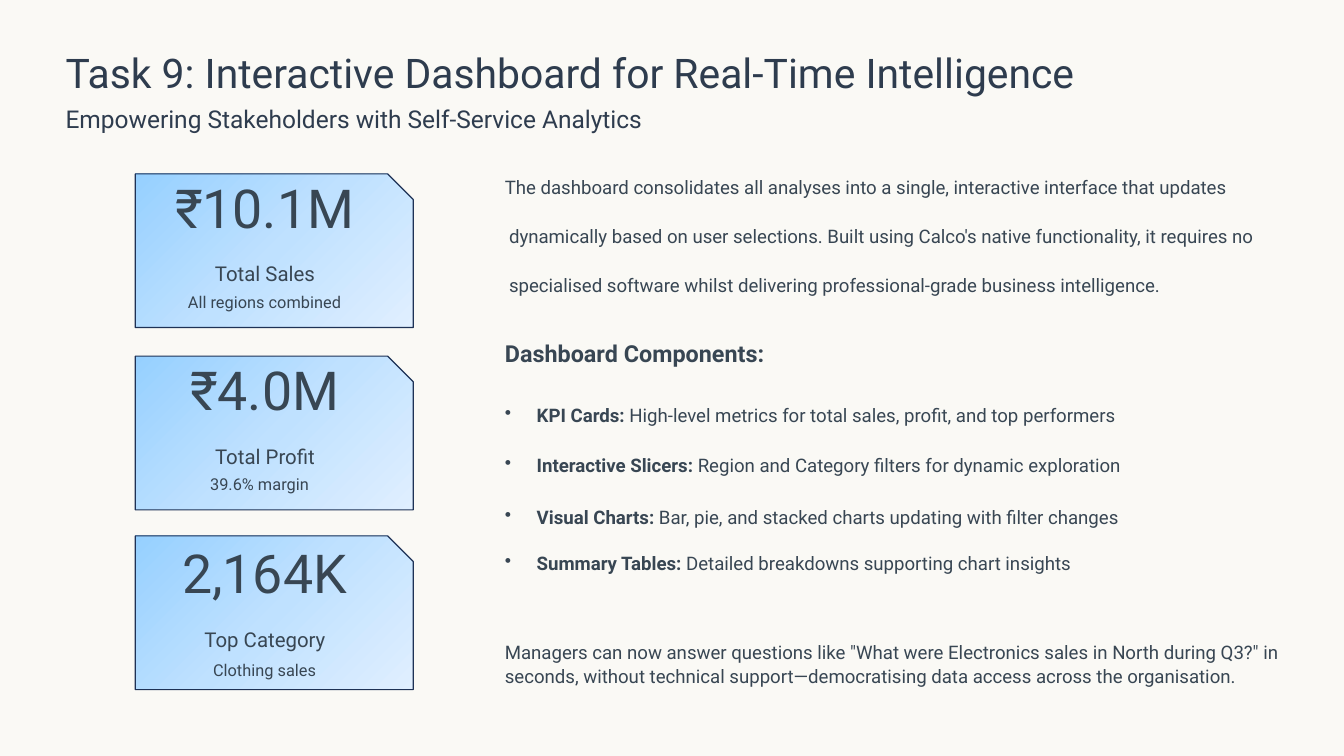
from dataclasses import dataclass
from typing import NamedTuple

from lxml.etree import SubElement
from pptx import Presentation
from pptx.dml.color import RGBColor as RGB
from pptx.enum.shapes import MSO_SHAPE as Shape
from pptx.enum.text import MSO_ANCHOR as Anchor, MSO_AUTO_SIZE as Fit, PP_ALIGN as Align
from pptx.oxml import parse_xml
from pptx.oxml.ns import nsdecls, qn
from pptx.util import Inches, Pt


@dataclass(frozen=True)
class Theme:
    font: str = "Roboto"
    paper: str = "FAF9F5"
    head: str = "2E3C4E"
    ink: str = "384653"
    edge: str = "1E3256"
    stops: tuple = ((0, "96D0FF"), (50, "BFE1FF"), (100, "E0EFFF"))
    title: float = 35
    sub: float = 21
    value: float = 46
    label: float = 17.5
    note: float = 14
    section: float = 20
    body: float = 16
    lead: float = 21


class Card(NamedTuple):
    top: float
    text_top: float
    value: str
    label: str
    note: str
    note_left: float
    note_top: float


class Point(NamedTuple):
    top: float
    name: str
    text: str


THEME = Theme()
CARDS = (
    Card(2.07, 2.21, "₹10.1M", "Total Sales", "All regions combined", 0.78, 3.42),
    Card(4.24, 4.38, "₹4.0M", "Total Profit", "39.6% margin", 0.72, 5.59),
    Card(6.38, 6.56, "2,164K", "Top Category", "Clothing sales", 0.78, 7.8),
)
POINTS = (
    Point(4.78, "KPI Cards:", " High-level metrics for total sales, profit, and top performers"),
    Point(5.38, "Interactive Slicers:", " Region and Category filters for dynamic exploration"),
    Point(6, "Visual Charts:", " Bar, pie, and stacked charts updating with filter changes"),
    Point(6.55, "Summary Tables:", " Detailed breakdowns supporting chart insights"),
)
INTRO = (
    "The dashboard consolidates all analyses into a single, interactive interface that updates",
    "dynamically based on user selections. Built using Calco's native functionality, it requires no",
    "specialised software whilst delivering professional-grade business intelligence.",
)
CLOSE = (
    'Managers can now answer questions like "What were Electronics sales in North during Q3?" '
    "in seconds, without technical support—democratising data access across the organisation."
)
LEFT, COLUMN, WIDE = 0.78, 6.01, 9.22


def style(item, form: dict) -> None:
    for key, val in form.items():
        setattr(item, key, val)


def frame(box):
    text = box.text_frame
    style(text, dict(word_wrap=True, auto_size=Fit.NONE, vertical_anchor=Anchor.TOP,
                     margin_left=0, margin_right=0, margin_top=0, margin_bottom=0))
    return text


def add_box(slide, left: float, top: float, width: float, height: float):
    return frame(slide.shapes.add_textbox(*map(Inches, (left, top, width, height))))


def add_run(para, text: str, size: float, bold: bool = False, ink: str = THEME.ink) -> None:
    run = para.add_run()
    run.text = text
    style(run.font, dict(name=THEME.font, size=Pt(size), bold=bold))
    run.font.color.rgb = RGB.from_string(ink)


def add_line(para, text: str, size: float, lead: float = THEME.lead, align=Align.LEFT,
             bold: bool = False, ink: str = THEME.ink) -> None:
    style(para, dict(alignment=align, line_spacing=Pt(lead), space_before=Pt(0)))
    add_run(para, text, size, bold, ink)


def indent(para, left: float, first: float = 0) -> None:
    props = para._p.get_or_add_pPr()
    props.set("marL", str(Inches(left)))
    props.set("indent", str(Inches(first)))


def add_card(slide, card: Card) -> None:
    shape = slide.shapes.add_shape(Shape.SNIP_1_RECTANGLE,
                                   *map(Inches, (1.61, card.top, 3.31, 1.83)))
    shape.shadow.inherit = False
    shape.line.width = Pt(1)
    shape.line.color.rgb = RGB.from_string(THEME.edge)
    # Radial gradient from the top left corner
    stops = "".join(f'<a:gs pos="{pos * 1000}"><a:srgbClr val="{tint}"/></a:gs>'
                    for pos, tint in THEME.stops)
    grad = parse_xml(f'<a:gradFill {nsdecls("a")} rotWithShape="1"><a:gsLst>{stops}</a:gsLst>'
                     '<a:path path="circle"><a:fillToRect r="100000" b="100000"/></a:path>'
                     '</a:gradFill>')
    shape._element.spPr.find(qn("a:prstGeom")).addnext(grad)
    # Figure, label and note
    rows = (
        (card.value, LEFT, card.text_top, 4.74, 0.65, THEME.value, 46),
        (card.label, 1.93, card.text_top + 0.89, 2.45, 0.31, THEME.label, 22),
        (card.note, card.note_left, card.note_top, 4.74, 0.29, THEME.note, 21),
    )
    for text, left, top, width, height, size, lead in rows:
        box = add_box(slide, left, top, width, height)
        add_line(box.paragraphs[0], text, size, lead, Align.CENTER)


def add_point(slide, point: Point) -> None:
    para = add_box(slide, COLUMN, point.top, WIDE, 0.29).paragraphs[0]
    indent(para, 0.38, -0.38)
    SubElement(para._p.get_or_add_pPr(), qn("a:buChar")).set("char", "•")
    add_line(para, point.name, THEME.body, bold=True)
    add_run(para, point.text, THEME.body)


def main() -> None:
    deck = Presentation()
    style(deck, dict(slide_width=Inches(16), slide_height=Inches(9)))
    slide = deck.slides.add_slide(deck.slide_layouts[5])
    slide.background.fill.solid()
    slide.background.fill.fore_color.rgb = RGB.from_string(THEME.paper)

    # Title and subtitle
    title = slide.shapes.title
    style(title, dict(left=Inches(LEFT), top=Inches(0.54),
                      width=Inches(12.5), height=Inches(0.61)))
    add_line(frame(title).paragraphs[0], "Task 9: Interactive Dashboard for Real-Time Intelligence",
             THEME.title, 44, ink=THEME.head)
    add_line(add_box(slide, LEFT, 1.23, 7.19, 0.37).paragraphs[0],
             "Empowering Stakeholders with Self-Service Analytics",
             THEME.sub, 26, ink=THEME.head)

    # Key figures
    for card in CARDS:
        add_card(slide, card)

    # Introduction
    intro = add_box(slide, COLUMN, 2.07, WIDE, 1.46)
    for row, text in enumerate(INTRO):
        para = intro.add_paragraph() if row else intro.paragraphs[0]
        add_line(para, text, THEME.body)
        if row:
            indent(para, 0.05)
            para.space_before = Pt(THEME.lead)

    # Components
    add_line(add_box(slide, COLUMN, 4.08, WIDE, 0.29).paragraphs[0],
             "Dashboard Components:", THEME.section, bold=True)
    for point in POINTS:
        add_point(slide, point)

    # Closing remark
    add_line(add_box(slide, COLUMN, 7.6, WIDE, 0.59).paragraphs[0], CLOSE, THEME.body)

    deck.save("out.pptx")


if __name__ == "__main__":
    main()
